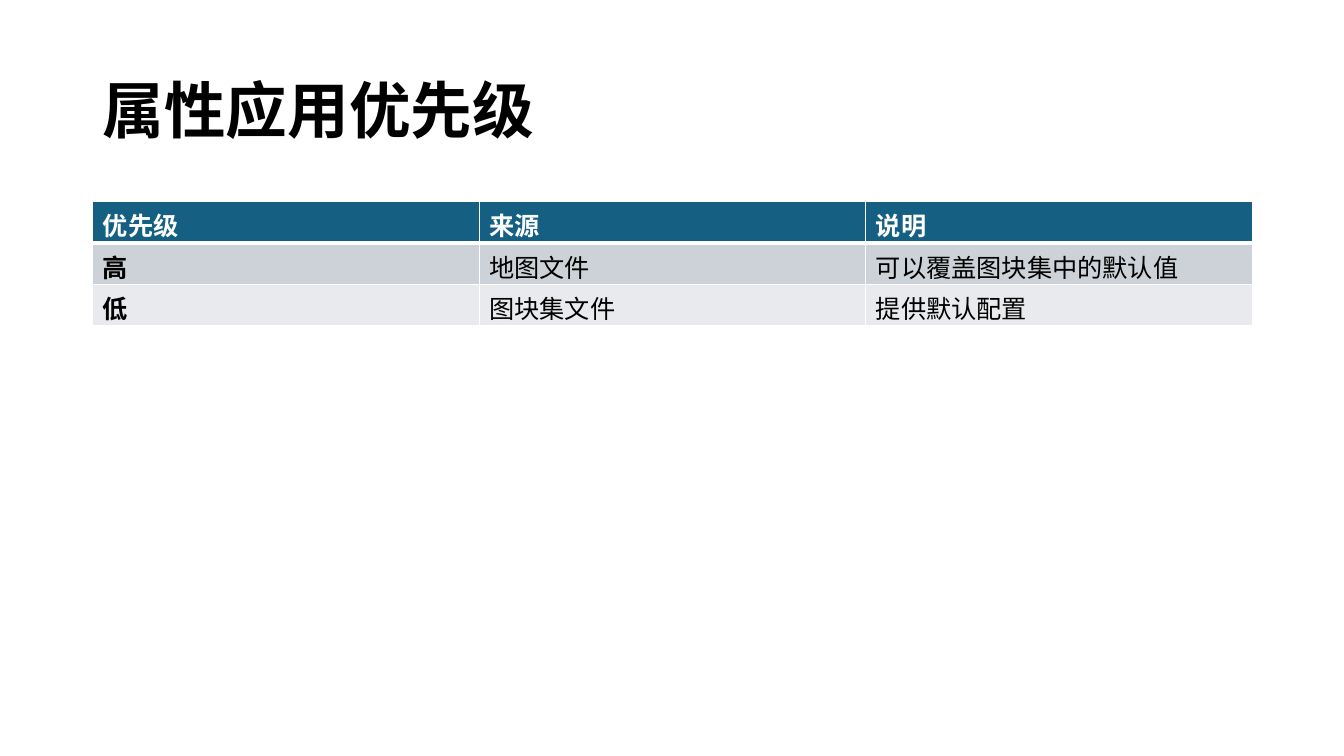
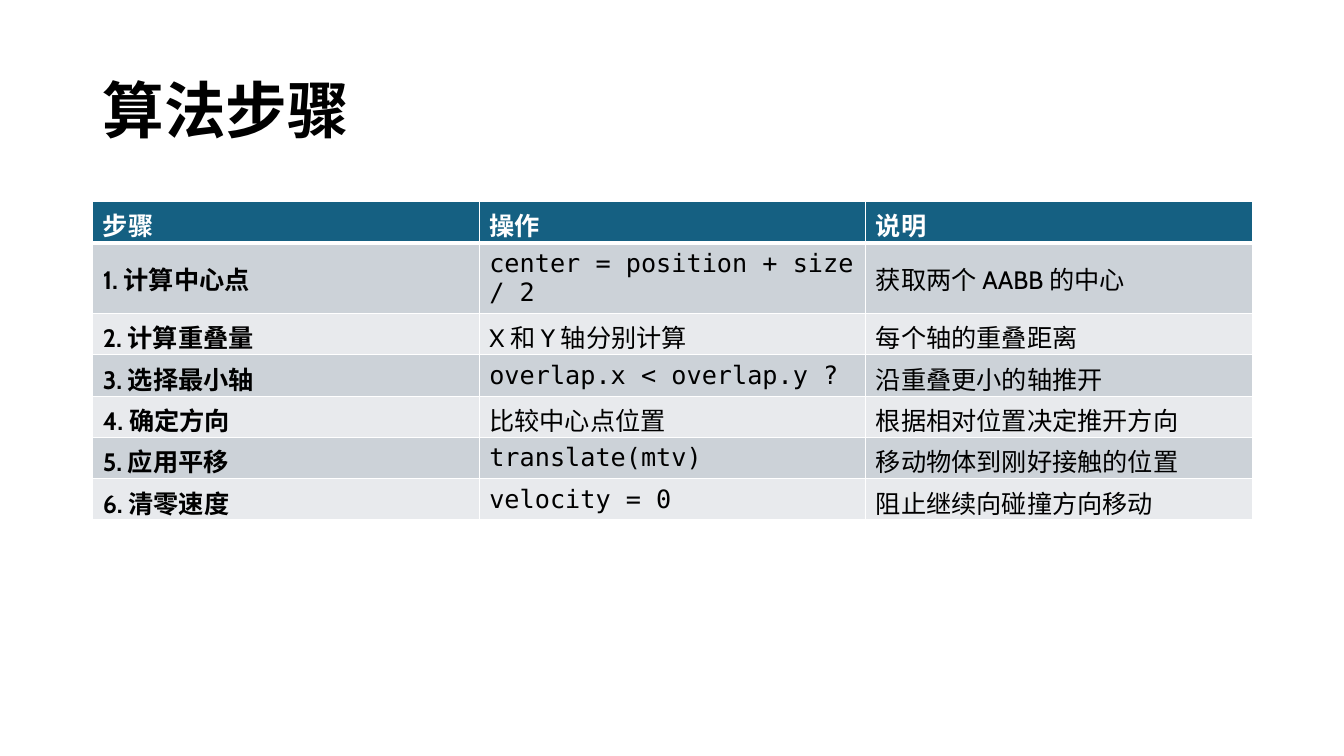
import pptx
import pptx.util
import pptx.dml.color
import pptx.enum.lang
import pptx.enum.text
import pptx.oxml
import pptx.oxml.ns

Inches = pptx.util.Inches
HUES = {"head": "156082", "odd": "CCD2D8", "even": "E8EAED",
        "white": "FFFFFF", "black": "000000"}
SANS, MONO = "Cabin", "DejaVu Sans Mono"
MIDDLE = pptx.enum.text.MSO_ANCHOR.MIDDLE
TITLE = (0.92, 0.4, 11.5, 1.45)
GRID = (0.92, 2, 11.5)
ROW = 0.41

RANKS = [
    ("优先级", "来源", "说明"),
    ("高", "地图文件", "可以覆盖图块集中的默认值"),
    ("低", "图块集文件", "提供默认配置"),
]
STEPS = [
    ("步骤", "操作", "说明"),
    ("1. 计算中心点", "center = position + size / 2", "获取两个 AABB 的中心"),
    ("2. 计算重叠量", "X 和 Y 轴分别计算", "每个轴的重叠距离"),
    ("3. 选择最小轴", "overlap.x < overlap.y ?", "沿重叠更小的轴推开"),
    ("4. 确定方向", "比较中心点位置", "根据相对位置决定推开方向"),
    ("5. 应用平移", "translate(mtv)", "移动物体到刚好接触的位置"),
    ("6. 清零速度", "velocity = 0", "阻止继续向碰撞方向移动"),
]


def color(name):
    """Return the named colour."""
    return pptx.dml.color.RGBColor.from_string(HUES[name])


def style(part, size, hue, bold, face=SANS):
    """Format the runs of the first paragraph."""
    for run in part.paragraphs[0].runs:
        font = run.font
        font.size, font.bold, font.name = pptx.util.Pt(size), bold, face
        font.color.rgb = color(hue)
        font.language_id = pptx.enum.lang.MSO_LANGUAGE_ID.SIMPLIFIED_CHINESE


def add_title(slide, text, box):
    """Place the slide title in its box."""
    frame = slide.shapes.add_textbox(*map(Inches, box)).text_frame
    frame.word_wrap = True
    frame.vertical_anchor = MIDDLE
    frame.text = text
    frame.paragraphs[0].line_spacing = 0.9
    style(frame, 44, "black", True)


def add_edge(cell, side, width):
    """Draw one white border of a cell."""
    space = pptx.oxml.ns.nsdecls("a")
    line = pptx.oxml.parse_xml(
        f'<a:ln{side} {space} w="{pptx.util.Pt(width)}"><a:solidFill>'
        f'<a:srgbClr val="{HUES["white"]}"/></a:solidFill></a:ln{side}>')
    cell._tc.get_or_add_tcPr().append(line)


def fill_cell(cell, text, row, col):
    """Write and format a cell by its place in the grid."""
    head = row == 0
    edges = {"L": 1, "R": 1, "T": 3 if row == 1 else 1, "B": 3 if head else 1}
    for side, width in edges.items():
        add_edge(cell, side, width)
    cell.fill.solid()
    cell.fill.fore_color.rgb = color("head" if head else "odd" if row % 2 else "even")
    cell.vertical_anchor = MIDDLE
    cell.text_frame.text = text
    style(cell.text_frame, 18, "white" if head else "black",
          head or col == 0, MONO if text.isascii() else SANS)


def add_grid(slide, rows, box):
    """Place a table with equal columns in its box."""
    left, top, width = map(Inches, box)
    table = slide.shapes.add_table(len(rows), len(rows[0]), left, top, width,
                                   Inches(ROW * len(rows))).table
    for row, texts in enumerate(rows):
        for col, text in enumerate(texts):
            fill_cell(table.cell(row, col), text, row, col)


def add_page(deck, title, rows):
    """Add a slide with a title and a table."""
    slide = deck.slides.add_slide(deck.slide_layouts[6])
    add_title(slide, title, TITLE)
    add_grid(slide, rows, GRID)


def main():
    """Build and save the deck."""
    deck = pptx.Presentation()
    deck.slide_width, deck.slide_height = Inches(13.33), Inches(7.5)
    add_page(deck, "属性应用优先级", RANKS)
    add_page(deck, "算法步骤", STEPS)
    deck.save("out.pptx")


if __name__ == "__main__":
    main()
